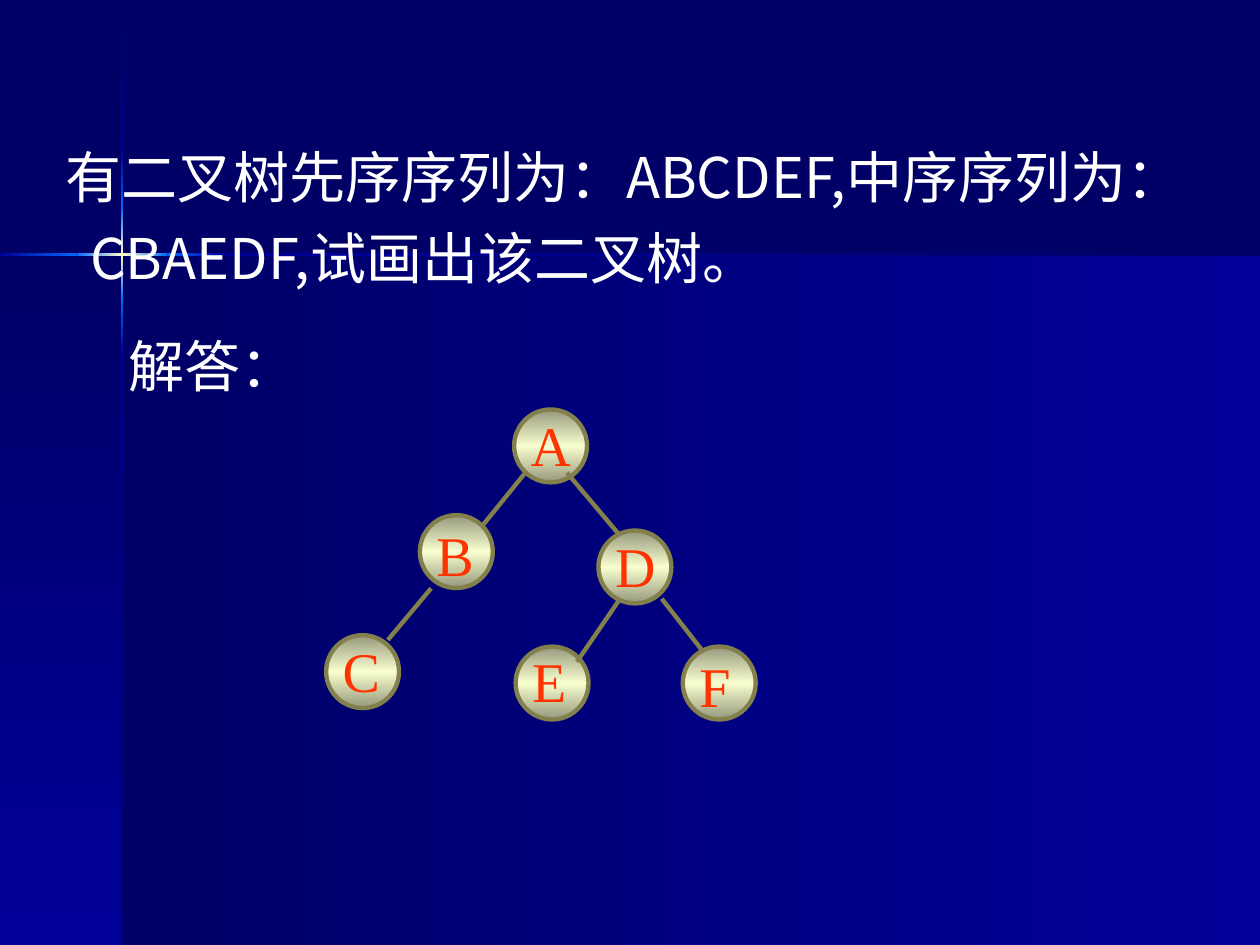
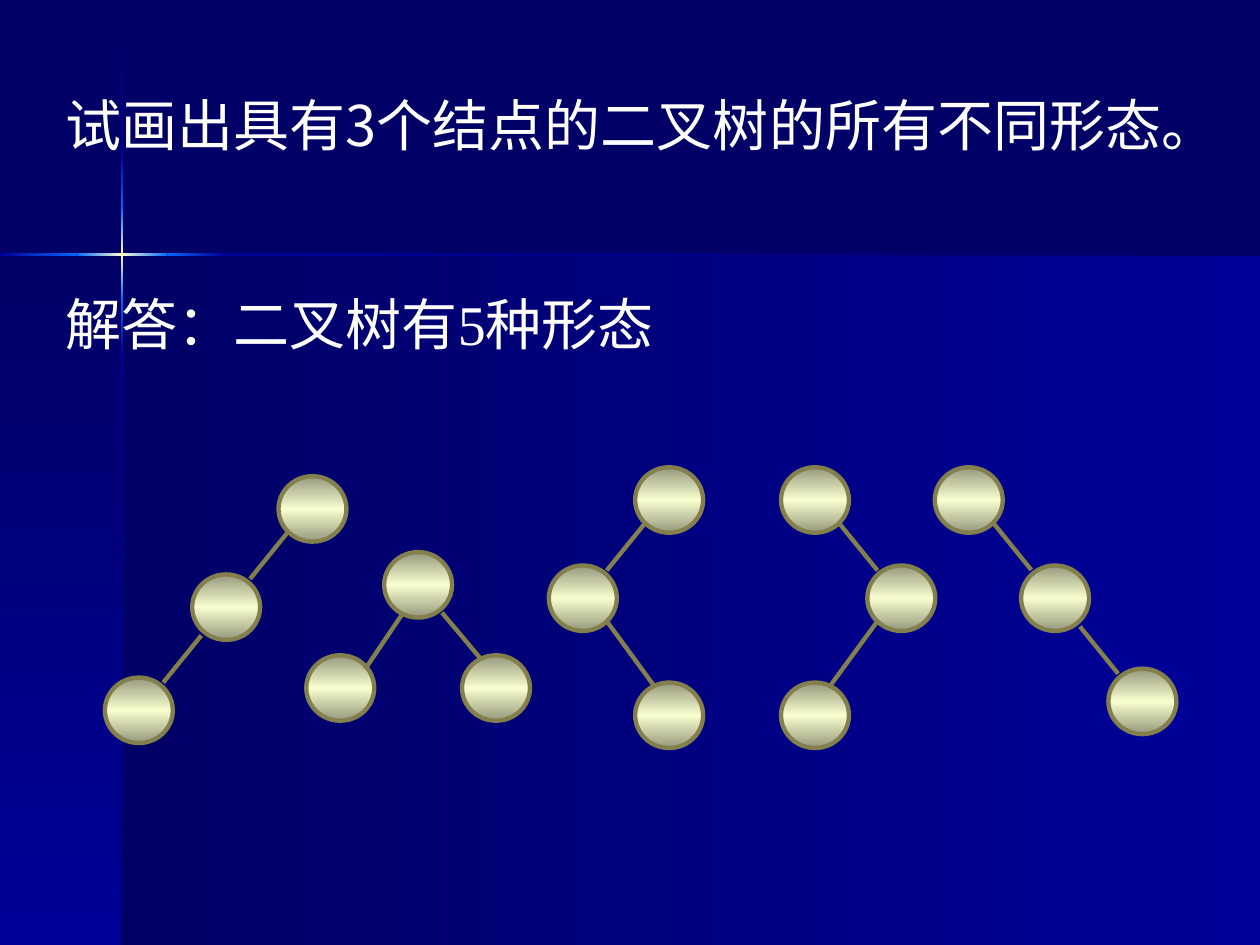
from lxml import etree
from pptx import Presentation
from pptx.dml.color import RGBColor
from pptx.enum.shapes import MSO_CONNECTOR, MSO_SHAPE
from pptx.oxml.ns import qn
from pptx.util import Cm, Pt

RECTANGLE, OVAL = MSO_SHAPE.RECTANGLE, MSO_SHAPE.OVAL
STRAIGHT = MSO_CONNECTOR.STRAIGHT

NAVY, BLUE, BRIGHT, GLOW = "000066", "000099", "0066FF", "FFFFCC"
OLIVE, SHADE, CREAM = "83804D", "95987C", "F8FECE"
WHITE, RED = "FFFFFF", "FF3300"
SANS, SERIF = "Noto Sans CJK SC", "Times New Roman"
SIZE = 32
DOWN, ACROSS = 90, 0


def gradient_shape(slide, kind, box, colors, angle):
    """Add a borderless shape whose colours are spread evenly along angle (clockwise)."""
    shape = slide.shapes.add_shape(kind, *[Cm(length) for length in box])
    shape.shadow.inherit = False
    shape.line.fill.background()
    shape.fill.gradient()
    shape.fill.gradient_angle = (360 - angle) % 360
    stops = shape.element.spPr.find(qn("a:gradFill")).find(qn("a:gsLst"))
    stops.clear()
    for i, color in enumerate(colors):
        position = 100000 * i // (len(colors) - 1)
        stop = etree.SubElement(stops, qn("a:gs"), pos=str(position))
        etree.SubElement(stop, qn("a:srgbClr"), val=color)
    return shape


def write(slide, text, box, font=SERIF, color=WHITE, space=0, indent=0):
    """Add a text box; space (pt) and indent (cm) apply from its second line on."""
    frame = slide.shapes.add_textbox(*[Cm(length) for length in box]).text_frame
    frame.word_wrap = True
    for i, line in enumerate(text.split("\n")):
        paragraph = frame.paragraphs[0] if i == 0 else frame.add_paragraph()
        paragraph.line_spacing = Pt(1.2 * SIZE)
        if i:
            paragraph.space_before = Pt(space)
            properties = paragraph._p.get_or_add_pPr()
            properties.set("marL", str(Cm(indent)))
            properties.set("indent", "0")
        run = paragraph.add_run()
        run.text = line
        run.font.size = Pt(SIZE)
        run.font.name = font
        run.font.color.rgb = RGBColor.from_string(color)
        etree.SubElement(run.font._element, qn("a:ea"), typeface=SANS)


prs = Presentation()
prs.slide_width, prs.slide_height = Cm(25.4), Cm(19.05)
blank = prs.slide_layouts[6]
for placeholder in list(blank.placeholders):
    blank.shapes.element.remove(placeholder.element)
background = prs.slide_master.background.fill
background.solid()
background.fore_color.rgb = RGBColor.from_string(NAVY)
sequence_slide = prs.slides.add_slide(blank)
forms_slide = prs.slides.add_slide(blank)

# Shared backdrop: two panels and a cross of light, moved to the layout
panels = [(2.46, 5.13, 22.94, 13.92), (0, 5.13, 2.46, 13.92)]
backdrop = [gradient_shape(sequence_slide, RECTANGLE, panel, (NAVY, BLUE), angle)
            for panel, angle in zip(panels, (ACROSS, DOWN))]
ray_colors = [(NAVY, BLUE), (BLUE, BRIGHT), (BRIGHT, GLOW, BRIGHT), (BRIGHT, BLUE), (BLUE, NAVY)]
vertical_ends = [0.03, 3.07, 4.19, 6.05, 7.16, 19.05]
horizontal_ends = [0, 1.54, 3.38, 4.5, 25.4]
for start, end, colors in zip(vertical_ends, vertical_ends[1:], ray_colors):
    ray = (2.44, start, 0.05, end - start)
    backdrop.append(gradient_shape(sequence_slide, RECTANGLE, ray, colors, DOWN))
for start, end, colors in zip(horizontal_ends, horizontal_ends[1:], ray_colors[1:]):
    ray = (start, 5.11, end - start, 0.05)
    backdrop.append(gradient_shape(sequence_slide, RECTANGLE, ray, colors, ACROSS))
for piece in backdrop:
    blank.shapes.element.append(piece.element)

# Questions and answers
write(sequence_slide, "有二叉树先序序列为：ABCDEF,中序序列为：\nCBAEDF,试画出该二叉树。",
      (1.07, 2.74, 24.33, 3.25), font=SANS, space=8, indent=0.5)
write(sequence_slide, "解答：", (2.34, 6.55, 3.6, 1.63))
write(forms_slide, "试画出具有3个结点的二叉树的所有不同形态。", (1.07, 1.7, 24.33, 1.63), font=SANS)
write(forms_slide, "解答：二叉树有5种形态", (1.07, 5.72, 13.97, 1.63))

# Tree rebuilt from the two sequences: node centres, and label tops above them
labelled_nodes = {
    "A": (11.1, 8.99, 0.84), "B": (9.2, 11.12, 0.76), "C": (7.31, 13.54, 0.84),
    "D": (12.8, 11.43, 0.84), "F": (14.5, 13.77, 0.77), "E": (11.13, 13.77, 0.87),
}
sequence_nodes = [(x, y) for x, y, rise in labelled_nodes.values()]
sequence_edges = [
    (10.59, 9.53, 9.73, 10.59), (8.69, 11.86, 7.82, 12.9), (11.43, 9.53, 12.5, 10.8),
    (12.5, 12.07, 11.63, 13.34), (13.34, 12.07, 14.17, 13.13),
]

# Three-node forms, relative to the root; side -1 mirrors a form to the left
chain = ([(0, 0), (1.74, 1.98), (3.5, 4.06)],
         [(0.5, 0.47, 1.26, 1.41), (2.24, 2.55, 3.01, 3.5)])
bent = ([(0, 0), (1.74, 1.98), (0, 4.34)],
        [(0.48, 0.46, 1.26, 1.42), (1.26, 2.44, 0.28, 3.78)])
fork = ([(0, 0), (1.57, 2.08), (-1.57, 2.08)],
        [(-0.3, 0.56, -1.07, 1.7), (0.48, 0.56, 1.27, 1.5)])
form_nodes, form_edges = [], []
for root_x, root_y, side, (nodes, edges) in [
    (6.3, 10.26, -1, chain), (8.43, 11.79, 1, fork), (13.49, 10.08, -1, bent),
    (16.43, 10.08, 1, bent), (19.53, 10.08, 1, chain),
]:
    form_nodes += [(root_x + side * x, root_y + y) for x, y in nodes]
    form_edges += [(root_x + side * x1, root_y + y1, root_x + side * x2, root_y + y2)
                   for x1, y1, x2, y2 in edges]

for slide, width, height, nodes, edges in [
    (sequence_slide, 1.47, 1.47, sequence_nodes, sequence_edges),
    (forms_slide, 1.37, 1.32, form_nodes, form_edges),
]:
    for x, y in nodes:
        box = (x - width / 2, y - height / 2, width, height)
        node = gradient_shape(slide, OVAL, box, (SHADE, CREAM, SHADE), DOWN)
        node.line.color.rgb = RGBColor.from_string(OLIVE)
        node.line.width = Pt(2.5)
    for ends in edges:
        edge = slide.shapes.add_connector(STRAIGHT, *[Cm(length) for length in ends])
        edge.line.color.rgb = RGBColor.from_string(OLIVE)
        edge.line.width = Pt(2.5)
        etree.SubElement(edge.element.spPr, qn("a:effectLst"))

for letter, (x, y, rise) in labelled_nodes.items():
    write(sequence_slide, letter, (x - 0.65, y - rise, 1.47, 1.63), color=RED)

prs.save("out.pptx")
